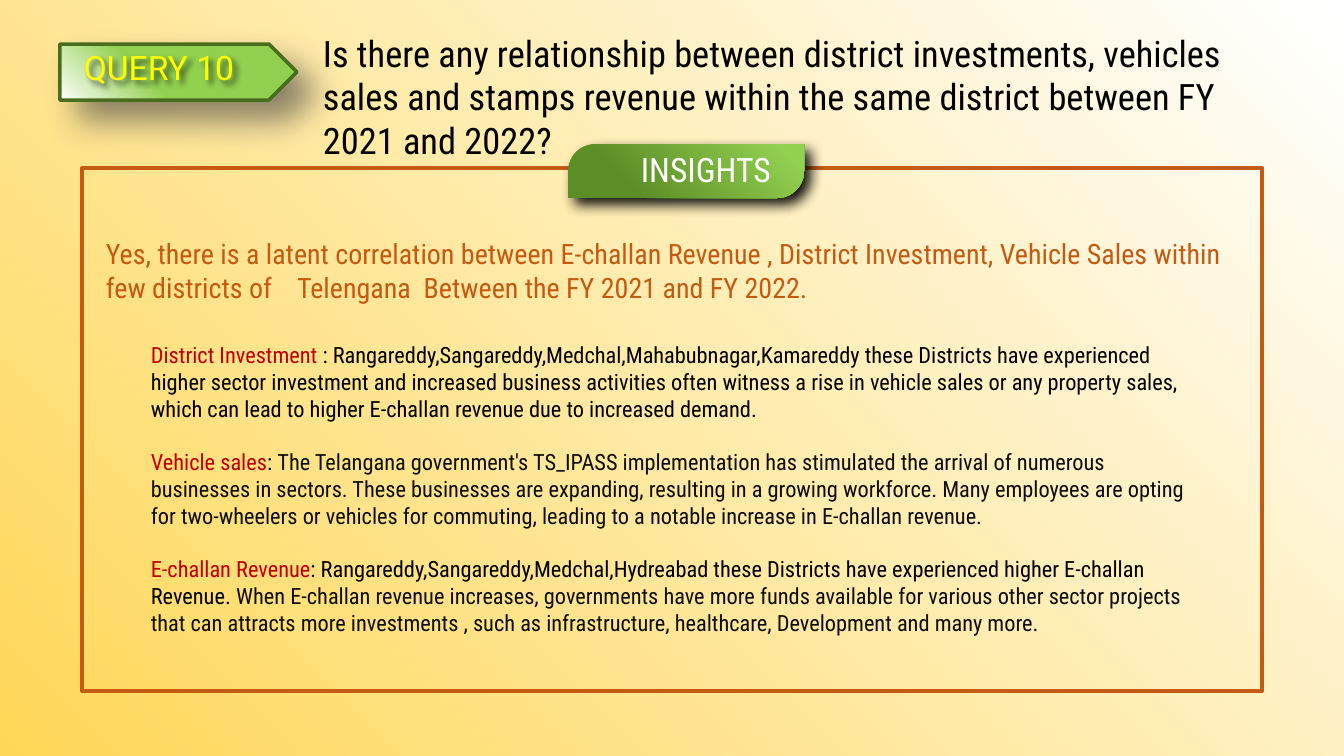
from dataclasses import dataclass

from lxml import etree
from pptx import Presentation
from pptx.dml.color import RGBColor
from pptx.enum.shapes import MSO_SHAPE
from pptx.enum.text import PP_ALIGN
from pptx.oxml.ns import qn
from pptx.shapes.autoshape import Shape
from pptx.slide import Slide
from pptx.util import Emu, Pt

RECTANGLE = MSO_SHAPE.RECTANGLE
PENTAGON = MSO_SHAPE.PENTAGON
ROUND_DIAGONAL = MSO_SHAPE.ROUND_2_DIAG_RECTANGLE
LEFT, CENTER = PP_ALIGN.LEFT, PP_ALIGN.CENTER

EMU_PER_PX = 914400 / 100.8
PAGE_WIDTH, PAGE_HEIGHT = 1344, 756
GRADIENT_ANGLE = 45

BLACK = RGBColor(0x00, 0x00, 0x00)
NEAR_BLACK = RGBColor(0x0D, 0x0D, 0x0D)
GRAY = RGBColor(0x40, 0x40, 0x40)
WHITE = RGBColor(0xFF, 0xFF, 0xFF)
GOLD = RGBColor(0xFF, 0xD7, 0x57)
YELLOW = RGBColor(0xFF, 0xFF, 0x00)
LIME = RGBColor(0x92, 0xD0, 0x50)
GREEN = RGBColor(0x5C, 0x8E, 0x26)
DARK_GREEN = RGBColor(0x47, 0x6D, 0x1D)
ORANGE = RGBColor(0xC5, 0x5A, 0x11)
RED = RGBColor(0xC0, 0x00, 0x00)

CONDENSED = "Roboto Condensed"


@dataclass(frozen=True)
class Shadow:
    color: RGBColor
    opacity: int
    blur: int
    distance: int


@dataclass(frozen=True)
class Panel:
    kind: MSO_SHAPE
    area: tuple[int, int, int, int]
    stops: tuple[tuple[float, RGBColor], ...] = ()
    line: RGBColor | None = None
    line_width: float = 0
    shadow: Shadow | None = None
    adjustments: tuple[float, ...] = ()


@dataclass(frozen=True)
class Span:
    text: str
    color: RGBColor


@dataclass(frozen=True)
class Label:
    area: tuple[int, int, int, int]
    paragraphs: tuple[tuple[Span, ...], ...]
    size: int
    font: str = CONDENSED
    align: PP_ALIGN = LEFT
    space_before: int = 0
    space_after: int = 0
    line_spacing: float = 1.0
    shadow: Shadow | None = None


BADGE_SHADOW = Shadow(GRAY, 60, 24, 19)
TEXT_SHADOW = Shadow(BLACK, 60, 4, 4)

PANELS = (
    Panel(RECTANGLE, (0, 0, PAGE_WIDTH, PAGE_HEIGHT), ((0, GOLD), (1, WHITE))),
    Panel(RECTANGLE, (82, 168, 1180, 523), line=ORANGE, line_width=3),
    Panel(PENTAGON, (60, 44, 237, 56), ((0, WHITE), (0.38, LIME)),
          DARK_GREEN, 2.5, BADGE_SHADOW),
    Panel(ROUND_DIAGONAL, (568, 144, 236, 54), ((0.25, GREEN), (0.91, LIME)),
          shadow=Shadow(BLACK, 95, 10, 7), adjustments=(0.5, 0)),
)

FINDINGS = (
    (
        Span("District Investment ", RED),
        Span(": Rangareddy,Sangareddy,Medchal,Mahabubnagar,Kamareddy these Districts have "
             "experienced higher sector investment and increased business activities often "
             "witness a rise in vehicle sales or any property sales, which can lead to higher "
             "E-challan revenue due to increased demand.", BLACK),
    ),
    (
        Span("Vehicle sales", RED),
        Span(": ", BLACK),
        Span("The Telangana government's TS_IPASS implementation has stimulated the arrival of "
             "numerous businesses in sectors. These businesses are expanding, resulting in a "
             "growing workforce. Many employees are opting for two-wheelers or vehicles for "
             "commuting, leading to a notable increase in E-challan revenue.", NEAR_BLACK),
    ),
    (
        Span("E-challan Revenue", RED),
        Span(": Rangareddy,Sangareddy,Medchal,Hydreabad these Districts have experienced higher "
             "E-challan Revenue. ", BLACK),
        Span("When E-challan revenue increases, governments have more funds available for "
             "various other sector projects that can attracts more investments , such as "
             "infrastructure, healthcare, Development and many more.", NEAR_BLACK),
    ),
)

LABELS = (
    Label((-53, 46, 424, 68), ((Span("QUERY 10", YELLOW),),), 24, "Roboto", CENTER,
          space_before=10, line_spacing=0.9, shadow=TEXT_SHADOW),
    Label((313, 26, 962, 146),
          ((Span("Is there any relationship between district investments, vehicles sales and "
                 "stamps revenue within the same district between FY 2021 and 2022?", BLACK),),),
          26),
    Label((631, 144, 242, 99), ((Span("INSIGHTS", WHITE),),), 24),
    Label((96, 232, 1179, 78),
          ((Span("Yes, there is a latent correlation between E-challan Revenue , District "
                 "Investment, Vehicle Sales within few districts of    Telengana  Between the "
                 "FY 2021 and FY 2022.", ORANGE),),),
          20),
    Label((141, 336, 1066, 400), FINDINGS, 16, space_after=19),
)


def px(length: int) -> Emu:
    return Emu(round(length * EMU_PER_PX))


def set_shadow(shape: Shape, shadow: Shadow | None) -> None:
    shape.shadow.inherit = False
    if shadow is None:
        return
    effects = shape._element.spPr.find(qn("a:effectLst"))
    outer = etree.SubElement(
        effects, qn("a:outerShdw"), blurRad=str(Pt(shadow.blur)), dist=str(Pt(shadow.distance)),
        dir="2700000", algn="tl", rotWithShape="0")
    color = etree.SubElement(outer, qn("a:srgbClr"), val=str(shadow.color))
    etree.SubElement(color, qn("a:alpha"), val=str(shadow.opacity * 1000))


def draw_panel(page: Slide, panel: Panel) -> None:
    shape = page.shapes.add_shape(panel.kind, *map(px, panel.area))
    for index, value in enumerate(panel.adjustments):
        shape.adjustments[index] = value
    if panel.stops:
        shape.fill.gradient()
        shape.fill.gradient_angle = GRADIENT_ANGLE
        for stop, (position, color) in zip(shape.fill.gradient_stops, panel.stops):
            stop.position = position
            stop.color.rgb = color
    else:
        shape.fill.background()
    if panel.line is None:
        shape.line.fill.background()
    else:
        shape.line.color.rgb = panel.line
        shape.line.width = Pt(panel.line_width)
    set_shadow(shape, panel.shadow)


def draw_label(page: Slide, label: Label) -> None:
    box = page.shapes.add_textbox(*map(px, label.area))
    set_shadow(box, label.shadow)
    frame = box.text_frame
    frame.word_wrap = True
    for index, spans in enumerate(label.paragraphs):
        para = frame.add_paragraph() if index else frame.paragraphs[0]
        para.alignment = label.align
        para.line_spacing = label.line_spacing
        para.space_before = Pt(label.space_before)
        para.space_after = Pt(label.space_after)
        para.font.name = label.font
        para.font.size = Pt(label.size)
        for span in spans:
            run = para.add_run()
            run.text = span.text
            run.font.color.rgb = span.color


def main() -> None:
    deck = Presentation()
    deck.slide_width, deck.slide_height = px(PAGE_WIDTH), px(PAGE_HEIGHT)
    page = deck.slides.add_slide(deck.slide_layouts[6])
    for panel in PANELS:
        draw_panel(page, panel)
    for label in LABELS:
        draw_label(page, label)
    deck.save("out.pptx")


if __name__ == "__main__":
    main()
